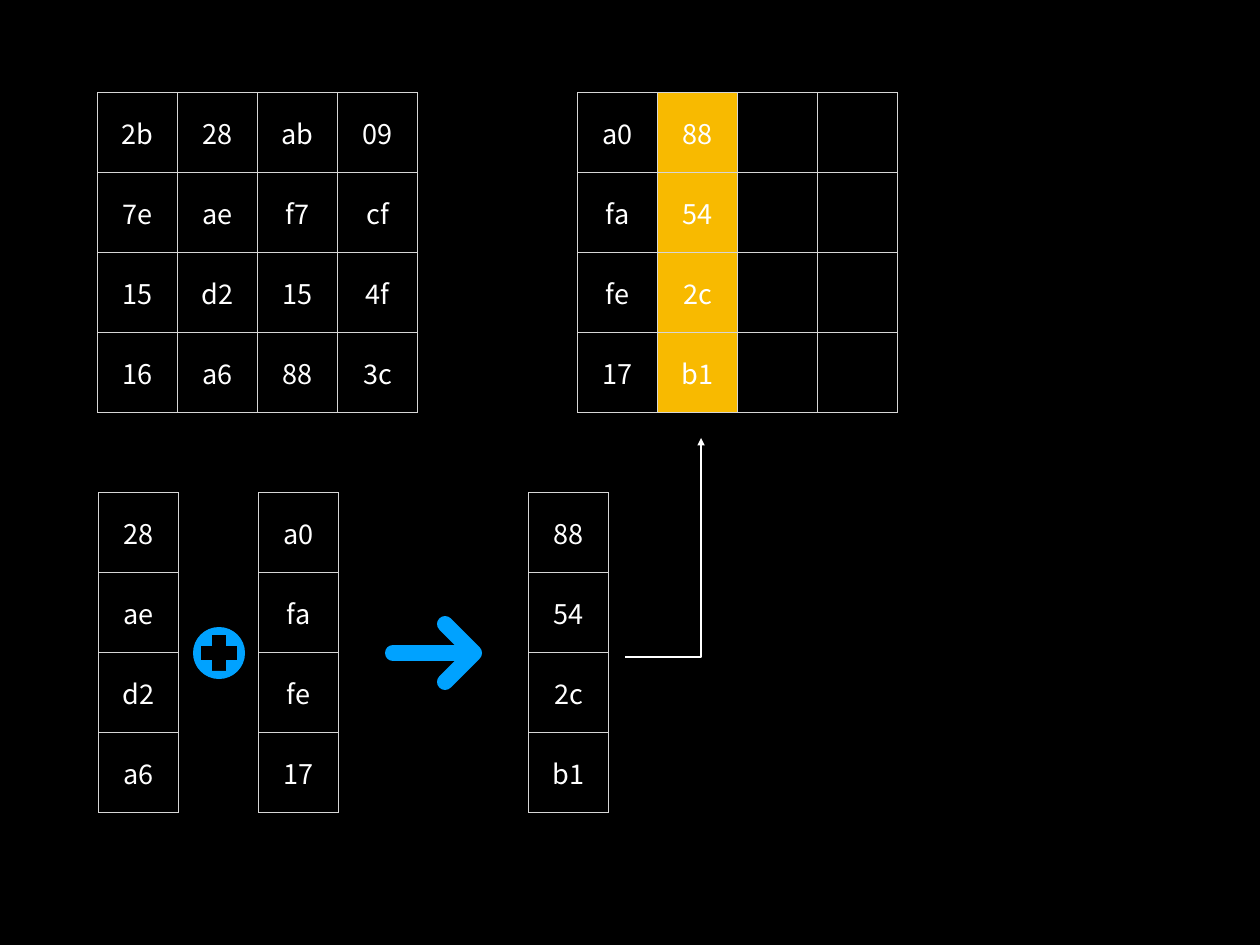
import math
from dataclasses import dataclass
from itertools import chain, pairwise

from lxml import etree
from pptx import Presentation
from pptx import util as u
from pptx.dml.color import RGBColor
from pptx.enum import text
from pptx.oxml import ns

PX = 10320  # EMU in one px
CELL = 80
INSET = 5


@dataclass(frozen=True)
class Theme:
    background: str = "000000"
    ink: str = "FFFFFF"
    grid: str = "D6D6D6"
    highlight: str = "F8BA00"
    accent: str = "00A2FF"
    font: str = "Noto Sans CJK KR"
    size: int = 22
    grid_width: int = 1
    arrow_width: int = 2


def px(length):
    return u.Emu(round(length * PX))


def rgb(colour):
    return RGBColor.from_string(colour)


def write(frame, words, *, font, size, colour, align=text.PP_ALIGN.CENTER):
    para = frame.paragraphs[0]
    para.alignment = align
    span = para.add_run()
    span.text = words
    span.font.name = font
    span.font.size = u.Pt(size)
    span.font.color.rgb = rgb(colour)


def polar(centre, radius, degrees):
    angle = math.radians(degrees)
    return centre[0] + radius * math.cos(angle), centre[1] + radius * math.sin(angle)


def arc(centre, radius, *stops):
    """Bezier steps through the stops, in degrees clockwise from the right."""
    steps = []
    for start, end in pairwise(stops):
        pull = radius * 4 / 3 * math.tan(math.radians(end - start) / 4)
        first, last = polar(centre, radius, start), polar(centre, radius, end)
        steps.append((polar(first, pull, start + 90), polar(last, -pull, end + 90), last))
    return steps


def lines(*points):
    return [(point,) for point in points]


class Painter:
    def __init__(self, page, theme):
        self.page = page
        self.theme = theme
        page.background.fill.solid()
        page.background.fill.fore_color.rgb = rgb(theme.background)

    def border(self, cell):
        properties = cell._tc.get_or_add_tcPr()
        for side in ("lnL", "lnR", "lnT", "lnB"):
            line = etree.SubElement(properties, ns.qn(f"a:{side}"),
                                    w=str(u.Pt(self.theme.grid_width)))
            fill = etree.SubElement(line, ns.qn("a:solidFill"))
            etree.SubElement(fill, ns.qn("a:srgbClr"), val=self.theme.grid)

    def matrix(self, left, top, rows, highlighted=None):
        """Square cells inside the given corner, with one column optionally filled."""
        theme = self.theme
        height, width = len(rows), len(rows[0])
        half_border = u.Pt(theme.grid_width) // 2
        table = self.page.shapes.add_table(
            height, width, px(left) + half_border, px(top) + half_border,
            px(width * CELL), px(height * CELL)).table
        table.first_row = table.horz_banding = False
        for column in table.columns:
            column.width = px(CELL)
        for row, values in enumerate(rows):
            table.rows[row].height = px(CELL)
            for column, value in enumerate(values):
                cell = table.cell(row, column)
                cell.vertical_anchor = text.MSO_ANCHOR.MIDDLE
                cell.margin_left = cell.margin_right = px(INSET)
                cell.margin_top = cell.margin_bottom = px(INSET)
                self.border(cell)
                if column == highlighted:
                    cell.fill.solid()
                    cell.fill.fore_color.rgb = rgb(theme.highlight)
                else:
                    cell.fill.background()
                if value:
                    write(cell.text_frame, value, font=theme.font,
                          size=theme.size, colour=theme.ink)

    def outline(self, *contours, close=True):
        """A freeform of contours, whose steps end in a point after any controls."""
        ends = [[(px(x), px(y)) for *_, (x, y) in contour] for contour in contours]
        builder = self.page.shapes.build_freeform(*ends[0][0], scale=1.0)
        builder.add_line_segments(ends[0][1:], close=close)
        for start, *others in ends[1:]:
            builder.move_to(*start)
            builder.add_line_segments(others, close=close)
        shape = builder.convert_to_shape()
        shape.shadow.inherit = False

        # Turn the steps that have control points into curves
        nodes = list(shape._element.spPr.iter(ns.qn("a:moveTo"), ns.qn("a:lnTo")))
        for node, (*controls, _) in zip(nodes, chain(*contours)):
            if controls:
                node.tag = ns.qn("a:cubicBezTo")
            for index, (x, y) in enumerate(controls):
                point = etree.Element(ns.qn("a:pt"), x=str(px(x) - shape.left),
                                      y=str(px(y) - shape.top))
                node.insert(index, point)
        return shape

    def icon(self, *contours):
        shape = self.outline(*contours)
        shape.fill.solid()
        shape.fill.fore_color.rgb = rgb(self.theme.accent)
        shape.line.fill.background()

    def plus(self, centre, radius, reach, half):
        """A disc with a plus sign cut out of it."""
        x, y = centre
        corners = [(-half, -reach), (half, -reach), (half, -half), (reach, -half),
                   (reach, half), (half, half), (half, reach), (-half, reach),
                   (-half, half), (-reach, half), (-reach, -half), (-half, -half)]
        self.icon(lines((x, y - radius)) + arc(centre, radius, 270, 180, 90, 0, -90),
                  lines(*[(x + dx, y + dy) for dx, dy in corners]))

    def round_arrow(self, tail, tip, arm, radius):
        """A right arrow with round ends; tail, tip and arm are stroke centres."""
        x, y = tip
        upper, lower = (x - arm, y - arm), (x - arm, y + arm)
        notch = x - radius * (1 + math.sqrt(2))
        self.icon([*lines(polar(upper, radius, 270)),
                   *arc(upper, radius, 270, 225, 135),
                   *lines((notch, y - radius), polar(tail, radius, 270)),
                   *arc(tail, radius, 270, 180, 90),
                   *lines((notch, y + radius), polar(lower, radius, 225)),
                   *arc(lower, radius, 225, 135, 90, 45),
                   *lines(polar(tip, radius, 45)),
                   *arc(tip, radius, 45, 0, -45),
                   *lines(polar(upper, radius, -45)),
                   *arc(upper, radius, -45, -90)])

    def bent_arrow(self, *points):
        shape = self.outline(lines(*points), close=False)
        shape.fill.background()
        shape.line.width = u.Pt(self.theme.arrow_width)
        shape.line.color.rgb = rgb(self.theme.ink)
        line = shape._element.spPr.find(ns.qn("a:ln"))
        etree.SubElement(line, ns.qn("a:tailEnd"), type="triangle")


def main():
    deck = Presentation()
    deck.slide_width, deck.slide_height = px(1260), px(945)
    painter = Painter(deck.slides.add_slide(deck.slide_layouts[6]), Theme())

    # Cipher key and the round key being filled in
    key = [row.split() for row in
           ("2b 28 ab 09", "7e ae f7 cf", "15 d2 15 4f", "16 a6 88 3c")]
    first = "a0 fa fe 17".split()
    second = "88 54 2c b1".split()
    painter.matrix(97, 92, key)
    painter.matrix(577, 92, [(a, b, "", "") for a, b in zip(first, second)],
                   highlighted=1)

    # Column sum: key column plus first column gives second column
    key_column = [row[1] for row in key]
    for left, column in ((98, key_column), (258, first), (528, second)):
        painter.matrix(left, 492, [[value] for value in column])
    painter.plus((219, 653), radius=26, reach=18, half=7)
    painter.round_arrow(tail=(393, 653), tip=(474, 653), arm=29, radius=8)

    # Result goes into the highlighted column
    painter.bent_arrow((625, 657), (701, 657), (701, 438))

    deck.save("out.pptx")


if __name__ == "__main__":
    main()
